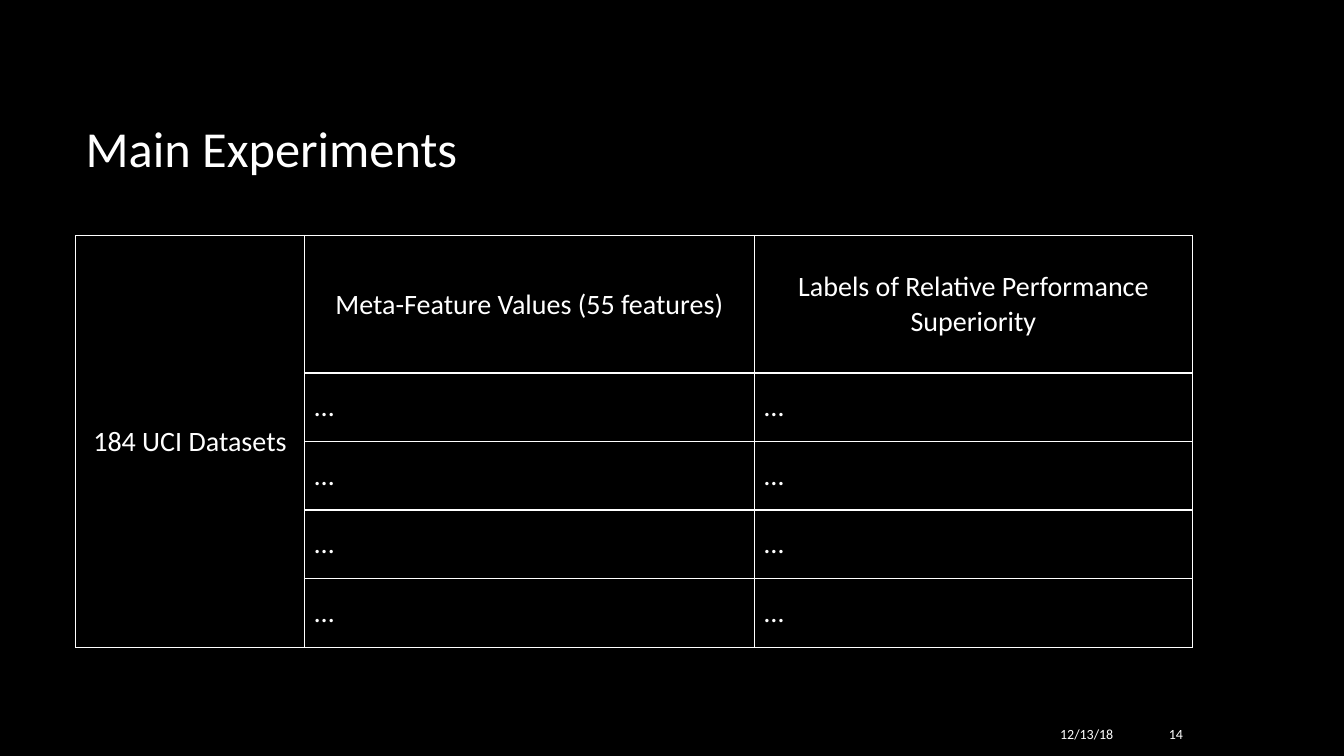
import pptx
import pptx.dml.color
import pptx.enum.text
import pptx.oxml
import pptx.oxml.ns
import pptx.util

BLACK = pptx.dml.color.RGBColor(0x00, 0x00, 0x00)
WHITE = pptx.dml.color.RGBColor(0xFF, 0xFF, 0xFF)
LEFT = pptx.enum.text.PP_ALIGN.LEFT
CENTER = pptx.enum.text.PP_ALIGN.CENTER
RIGHT = pptx.enum.text.PP_ALIGN.RIGHT
MIDDLE = pptx.enum.text.MSO_ANCHOR.MIDDLE

# Positions and sizes are percentages of the slide's width and height.
MARGIN = 5.63
CONTENT_WIDTH = 83.12
TABLE_TOP = 31.2
COLUMN_WIDTHS = [17.03, 33.46, 32.63]
ROW_HEIGHT = 9.07
BODY_ROWS = 4
FOOTER_TOP, FOOTER_HEIGHT = 94.4, 5.47


class SlideBuilder:
    font = "Calibri"

    def __init__(self, presentation):
        self.width = presentation.slide_width
        self.height = presentation.slide_height
        self.slide = presentation.slides.add_slide(presentation.slide_layouts[6])
        background = self.slide.background.fill
        background.solid()
        background.fore_color.rgb = BLACK

    def across(self, percent):
        return round(self.width * percent / 100)

    def down(self, percent):
        return round(self.height * percent / 100)

    def add_run(self, text_frame, text, size, alignment):
        paragraph = text_frame.paragraphs[0]
        paragraph.alignment = alignment
        run = paragraph.add_run()
        run.text = text
        run.font.name = self.font
        run.font.size = pptx.util.Pt(size)
        run.font.color.rgb = WHITE

    def add_text(self, text, left, top, width, height, size, alignment=LEFT):
        shape = self.slide.shapes.add_textbox(
            self.across(left), self.down(top), self.across(width), self.down(height))
        shape.text_frame.word_wrap = True
        shape.text_frame.vertical_anchor = MIDDLE
        self.add_run(shape.text_frame, text, size, alignment)

    def outline(self, cell):
        """Draw all four borders of a cell; they must precede its fill."""
        properties = cell._tc.get_or_add_tcPr()
        for side in ("lnL", "lnR", "lnT", "lnB"):
            properties.append(pptx.oxml.parse_xml(
                f'<a:{side} {pptx.oxml.ns.nsdecls("a")} w="{pptx.util.Pt(1)}">'
                f'<a:solidFill><a:srgbClr val="{WHITE}"/></a:solidFill></a:{side}>'))

    def add_table(self, left, top, column_widths, row_heights):
        table = self.slide.shapes.add_table(
            len(row_heights), len(column_widths), self.across(left), self.down(top),
            self.across(sum(column_widths)), self.down(sum(row_heights))).table
        table.first_row = table.horz_banding = False
        for column, width in zip(table.columns, column_widths):
            column.width = self.across(width)
        for row, height in zip(table.rows, row_heights):
            row.height = self.down(height)
        for cell in table.iter_cells():
            self.outline(cell)
            cell.fill.background()
            cell.vertical_anchor = MIDDLE
        return table


def main():
    presentation = pptx.Presentation()
    presentation.slide_width = pptx.util.Inches(13.33)
    presentation.slide_height = pptx.util.Inches(7.5)
    builder = SlideBuilder(presentation)

    builder.add_text("Main Experiments", MARGIN, 8.93, CONTENT_WIDTH, 21.2, 36)

    table = builder.add_table(MARGIN, TABLE_TOP, COLUMN_WIDTHS,
                              [2 * ROW_HEIGHT] + [ROW_HEIGHT] * BODY_ROWS)
    table.cell(0, 0).merge(table.cell(BODY_ROWS, 0))
    headings = ["184 UCI Datasets", "Meta-Feature Values (55 features)",
                "Labels of Relative Performance Superiority"]
    for column, heading in enumerate(headings):
        builder.add_run(table.cell(0, column).text_frame, heading, 20, CENTER)
    for row in range(1, BODY_ROWS + 1):
        for column in (1, 2):
            builder.add_run(table.cell(row, column).text_frame, "…", 20, LEFT)

    for text, left, width in [("12/13/18", 70.44, 13.13), ("14", 84.25, 4.5)]:
        builder.add_text(text, left, FOOTER_TOP, width, FOOTER_HEIGHT, 10, RIGHT)

    presentation.save("out.pptx")


if __name__ == "__main__":
    main()
